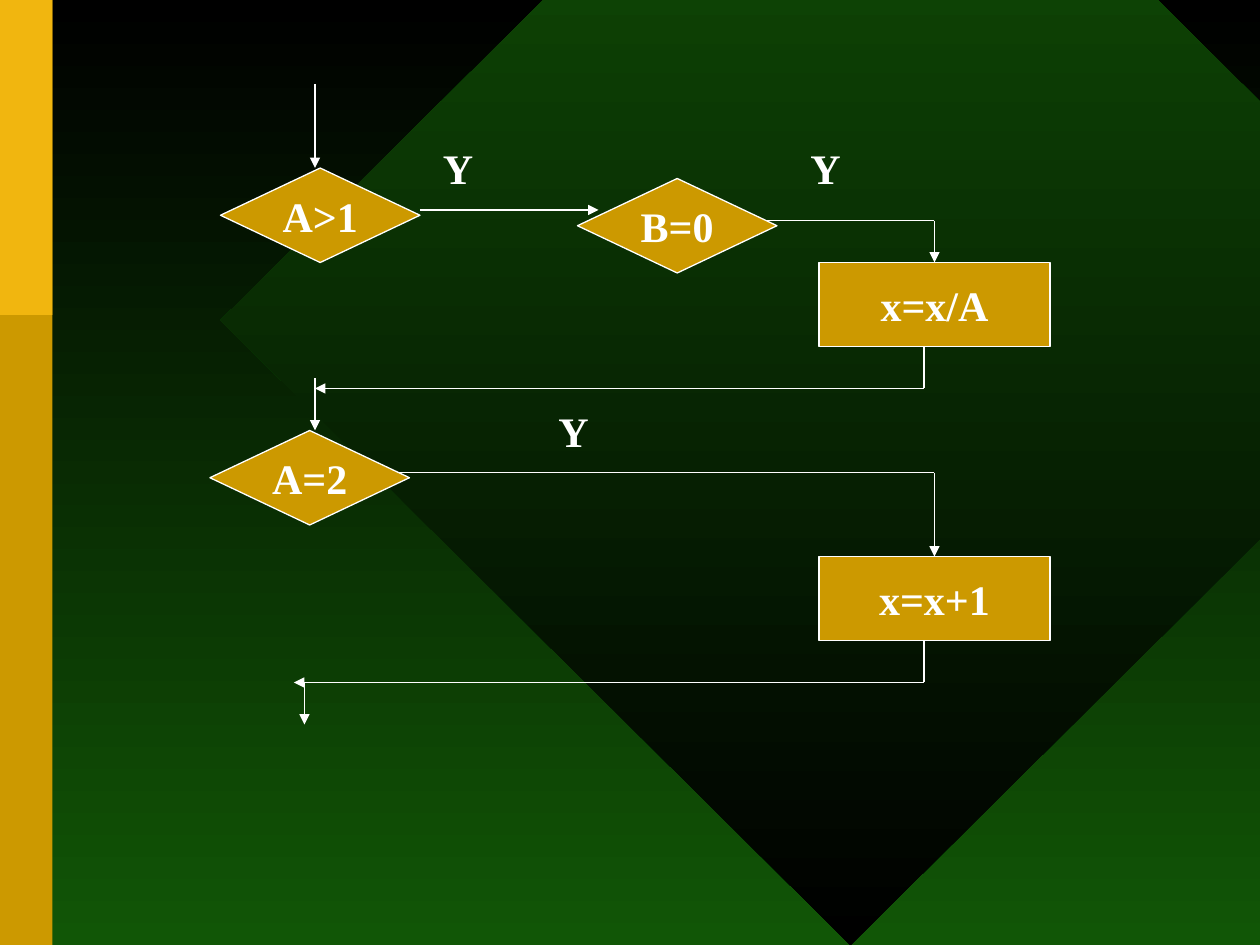
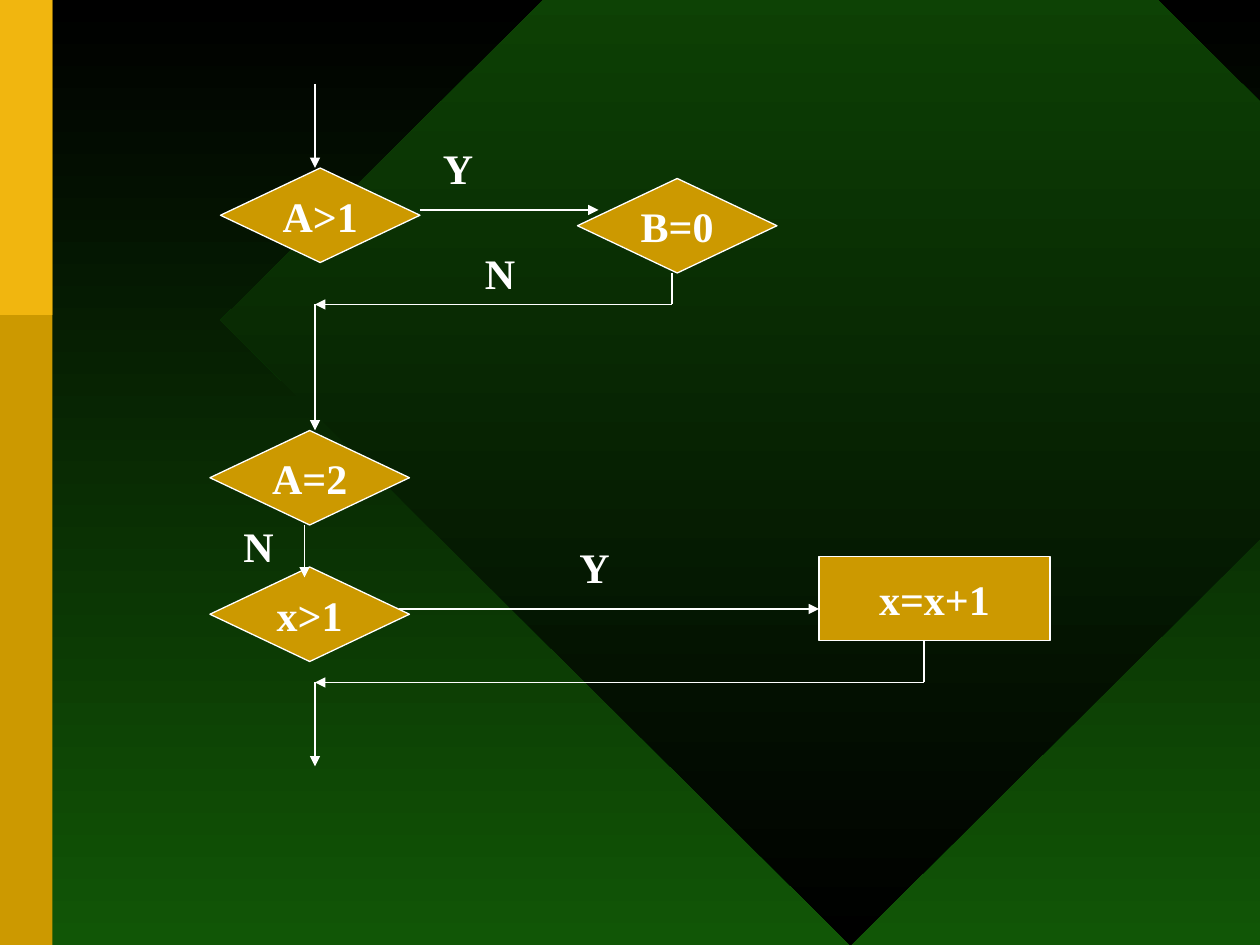
from dataclasses import dataclass
from itertools import pairwise

from lxml.etree import SubElement
from pptx import Presentation
from pptx.dml.color import RGBColor
from pptx.enum.shapes import MSO_CONNECTOR, MSO_SHAPE
from pptx.enum.text import MSO_ANCHOR, MSO_AUTO_SIZE, PP_ALIGN
from pptx.oxml.ns import qn
from pptx.slide import Slide
from pptx.util import Inches, Pt

# Grid: twelve cells to the inch
COLUMNS, ROWS = 120, 90
CELL = Inches(1) // 12

BLACK, GREEN, WHITE = "000000", "115606", "FFFFFF"
GOLD, BRIGHT_GOLD = "CC9900", "F1B60F"
FONT = "Times New Roman"
DECISION_SIZE, PROCESS_SIZE, LABEL_SIZE = (19, 9), (22, 8), (5, 6)


def color(hex_string):
    return RGBColor.from_string(hex_string)


def cells(*counts):
    return [count * CELL for count in counts]


def fill_solid(shape, hex_string):
    shape.fill.solid()
    shape.fill.fore_color.rgb = color(hex_string)


def fill_downward(fill, top, bottom):
    fill.gradient()
    fill.gradient_angle = 270
    for stop, hex_string, position in zip(fill.gradient_stops, (top, bottom), (0, 1)):
        stop.color.rgb = color(hex_string)
        stop.position = position


def write(frame, text):
    frame.text = text
    font = frame.paragraphs[0].runs[0].font
    font.name, font.size, font.bold = FONT, Pt(24), True
    font.color.rgb = color(WHITE)


@dataclass
class Region:
    """Part of a slide whose flowchart parts are placed from its top left cell."""
    slide: Slide
    col: int
    row: int

    def place(self, col, row):
        return cells(self.col + col, self.row + row)

    def node(self, preset, text, col, row, size):
        node = self.slide.shapes.add_shape(preset, *self.place(col, row), *cells(*size))
        node.shadow.inherit = False
        fill_solid(node, GOLD)
        node.line.color.rgb = color(WHITE)
        node.line.width = Pt(0.75)
        frame = node.text_frame
        frame.word_wrap = False
        frame.vertical_anchor = MSO_ANCHOR.MIDDLE
        write(frame, text)
        frame.paragraphs[0].alignment = PP_ALIGN.CENTER
        return node

    def decision(self, text, col, row):
        return self.node(MSO_SHAPE.FLOWCHART_DECISION, text, col, row, DECISION_SIZE)

    def process(self, text, col, row):
        return self.node(MSO_SHAPE.RECTANGLE, text, col, row, PROCESS_SIZE)

    def label(self, text, col, row):
        label = self.slide.shapes.add_textbox(*self.place(col, row), *cells(*LABEL_SIZE))
        frame = label.text_frame
        frame.word_wrap = True
        frame.auto_size = MSO_AUTO_SIZE.SHAPE_TO_FIT_TEXT
        write(frame, text)
        frame.paragraphs[0].space_before = Pt(15)

    def arrow(self, *corners, into_top_of=None):
        """Straight lines through the corners, with an arrowhead on the last."""
        for start, end in pairwise(corners):
            segment = self.slide.shapes.add_connector(
                MSO_CONNECTOR.STRAIGHT, *self.place(*start), *self.place(*end))
            segment.line.color.rgb = color(WHITE)
            segment.line.width = Pt(0.75)
            SubElement(segment.line._ln, qn("a:tailEnd"),
                       type="triangle" if end == corners[-1] else "none")
            SubElement(segment._element.spPr, qn("a:effectLst"))
        if into_top_of is not None:
            segment.end_connect(into_top_of, 0)

    def return_from_process(self, col, row, to_col):
        """Leave the process at this cell downwards, then go back left."""
        out_col, bottom = col + 10, row + PROCESS_SIZE[1]
        self.arrow((out_col, bottom), (out_col, bottom + 4), (to_col, bottom + 4))


def decorate(layout, slide):
    """Build the backdrop on a slide and move it to the shared layout."""
    fill_downward(layout.background.fill, BLACK, GREEN)
    diamond = slide.shapes.add_shape(MSO_SHAPE.DIAMOND, *cells(21, -29, COLUMNS, 119))
    fill_downward(diamond.fill, GREEN, BLACK)
    band = slide.shapes.add_shape(MSO_SHAPE.RECTANGLE, *cells(0, 0, 5, ROWS))
    fill_solid(band, GOLD)
    band_top = slide.shapes.add_shape(MSO_SHAPE.RECTANGLE, *cells(0, 0, 5, ROWS // 3))
    fill_solid(band_top, BRIGHT_GOLD)
    for part in (diamond, band, band_top):
        part.shadow.inherit = False
        part.line.fill.background()
        layout.shapes._spTree.append(part._element)


def first_condition(region):
    """A>1 and, when it holds, B=0."""
    region.decision("A>1", 1, 8)
    region.decision("B=0", 35, 9)
    region.arrow((10, 0), (10, 8))
    region.arrow((20, 12), (37, 12))
    region.label("Y", 21, 5)


def division_branch(region):
    """Both conditions hold: divide x and come back."""
    division = region.process("x=x/A", 58, 12)
    region.arrow((53, 8), (69, 8), (69, 12), into_top_of=division)
    region.label("Y", 56, 0)
    region.return_from_process(58, 12, to_col=10)


def increment_when_a_is_2(region):
    """A=2 leads straight to the increment."""
    region.decision("A=2", 0, 5)
    increment = region.process("x=x+1", 58, 17)
    region.arrow((10, 0), (10, 5))
    region.arrow((18, 9), (69, 9), (69, 17), into_top_of=increment)
    region.label("Y", 32, 2)
    region.return_from_process(58, 17, to_col=8)
    region.arrow((9, 29), (9, 33))


def division_skipped(region):
    """B=0 fails: go back and down to the second condition."""
    region.arrow((44, 3), (44, 6), (10, 6))
    region.label("N", 25, 0)
    region.arrow((10, 6), (10, 18))


def increment_when_x_above_1(region):
    """A=2 fails, x>1 leads to the increment."""
    region.decision("A=2", 0, 0)
    region.decision("x>1", 0, 13)
    region.process("x=x+1", 58, 12)
    region.arrow((9, 9), (9, 14))
    region.label("N", 2, 8)
    region.arrow((18, 17), (58, 17))
    region.label("Y", 34, 10)
    region.return_from_process(58, 12, to_col=10)
    region.arrow((10, 24), (10, 32))


def main():
    deck = Presentation()
    deck.slide_width, deck.slide_height = cells(COLUMNS, ROWS)
    blank = deck.slide_layouts[6]
    both_hold, both_fail = (deck.slides.add_slide(blank) for _ in range(2))
    decorate(blank, both_hold)

    # Path where the conditions hold
    first_condition(Region(both_hold, 20, 8))
    division_branch(Region(both_hold, 20, 13))
    increment_when_a_is_2(Region(both_hold, 20, 36))

    # Path through the second part of each condition
    first_condition(Region(both_fail, 20, 8))
    division_skipped(Region(both_fail, 20, 23))
    increment_when_x_above_1(Region(both_fail, 20, 41))

    deck.save("out.pptx")


if __name__ == "__main__":
    main()
